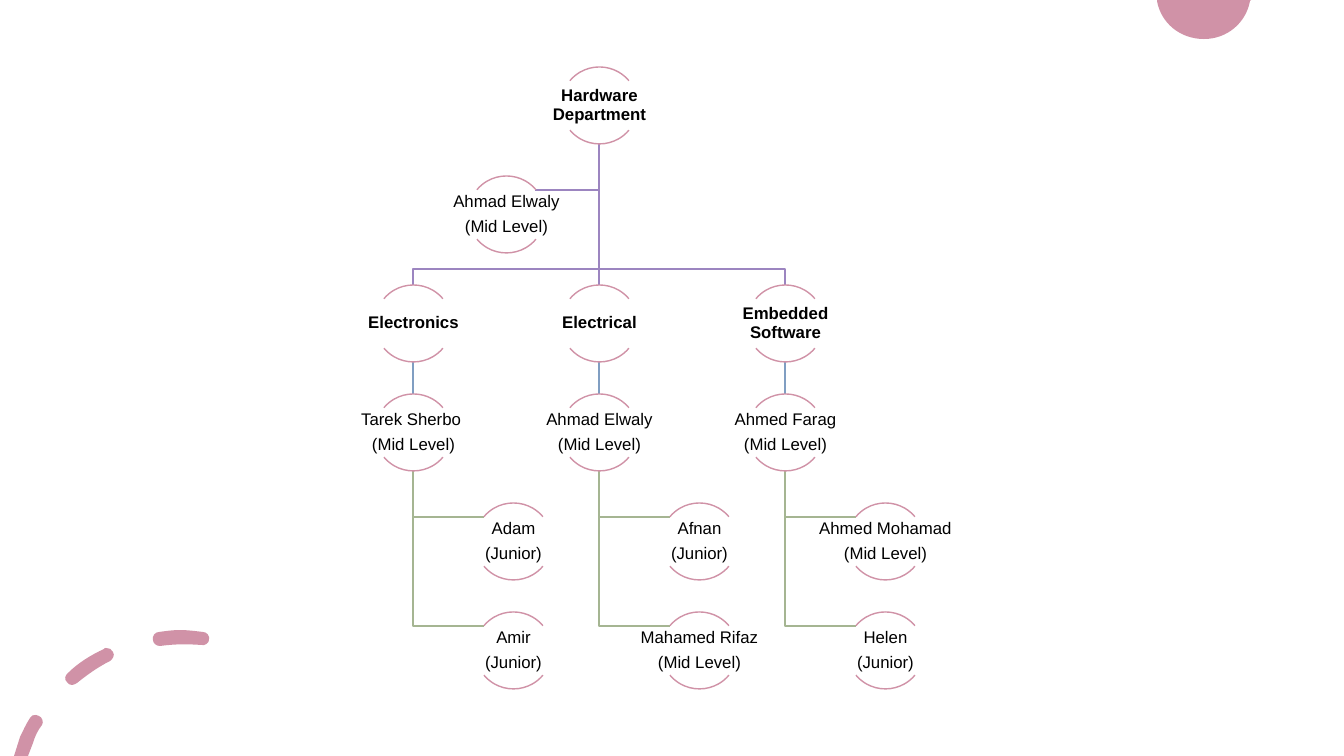
from dataclasses import dataclass

from lxml.etree import SubElement
from pptx import Presentation
from pptx.dml.color import RGBColor
from pptx.enum.shapes import MSO_SHAPE
from pptx.enum.text import MSO_ANCHOR, PP_ALIGN
from pptx.oxml.ns import qn
from pptx.util import Emu, Pt

SLIDE_WIDTH, SLIDE_HEIGHT = 1344, 756
EMU_PER_PIXEL = 12192000 / SLIDE_WIDTH
PINK, PURPLE, BLUE, GREEN, BLACK = "D092A7", "9C85C0", "809EC2", "A5B592", "000000"

CENTRE, COLUMN_STEP = 599, 186
FIRST_ROW, ROW_STEP = 67, 109
ASSISTANT_X = CENTRE - 93
MEMBER_INDENT = 100
CIRCLE, LABEL_WIDTH, LABEL_HEIGHT = 77, 153, 49
ARC_DEPTH, ARC_REACH = 14, 29  # from the circle's edge and centre to an arc's end
BRANCH_Y = 269
STRAIGHT_MARGIN = 5  # room on both sides of an upright line
TOP_ARC, BOTTOM_ARC = (132, 192), (24, 84)

Point = tuple[int, int]
Contour = list[tuple[Point, ...]]


@dataclass
class Node:
    """One person or department, placed by its centre line and row."""
    x: int
    row: int
    lines: tuple[str, ...]
    bold: bool = False

    @property
    def top(self) -> int:
        """Upper edge of the circle."""
        return FIRST_ROW + self.row * ROW_STEP

    @property
    def bottom(self) -> int:
        """Lower edge of the circle."""
        return self.top + CIRCLE


@dataclass
class Team:
    """A department with its lead and the people who report to the lead."""
    name: str
    lead: tuple[str, str]
    members: tuple[tuple[str, str], ...]


TEAMS = [
    Team("Electronics", ("Tarek Sherbo ", "(Mid Level)"),
         (("Adam", "(Junior)"), ("Amir", "(Junior)"))),
    Team("Electrical", ("Ahmad Elwaly", "(Mid Level)"),
         (("Afnan", "(Junior)"), ("Mahamed Rifaz", "(Mid Level)"))),
    Team("Embedded Software", ("Ahmed Farag", "(Mid Level)"),
         (("Ahmed Mohamad", "(Mid Level)"), ("Helen", "(Junior)"))),
]

# A piece with one point is a straight line, one with three points a cubic curve.
CORNER_DISC: list[Contour] = [[
    ((1157, 0),), ((1251, 0),), ((1250, 1),),
    ((1246, 23), (1227, 39), (1204, 39)), ((1180, 39), (1161, 23), (1157, 1)),
]]
CORNER_DASHES: list[Contour] = [
    [((36, 715),), ((34, 714), (31, 716), (30, 718)), ((26, 724), (23, 731), (20, 737)),
     ((14, 756),), ((28, 756),), ((33, 743),), ((35, 736), (38, 730), (42, 725)),
     ((44, 722), (42, 717), (39, 716)), ((38, 715), (37, 715), (36, 715))],
    [((106, 648),), ((105, 648), (104, 648), (104, 649)), ((91, 655), (78, 663), (68, 673)),
     ((65, 675), (64, 680), (67, 682)), ((68, 684), (70, 685), (72, 685)),
     ((74, 685), (75, 684), (77, 683)), ((87, 675), (98, 667), (110, 661)),
     ((113, 659), (115, 655), (113, 652)), ((112, 649), (109, 648), (106, 648))],
    [((180, 630),), ((173, 630), (166, 631), (159, 632)), ((155, 632), (152, 636), (153, 640)),
     ((153, 643), (156, 646), (160, 646)), ((174, 644), (188, 644), (201, 645)),
     ((205, 646), (209, 643), (209, 640)), ((210, 636), (207, 632), (203, 632)),
     ((195, 631), (187, 630), (180, 630))],
]


def px(length: int) -> Emu:
    """Turn pixels into EMU."""
    return Emu(round(length * EMU_PER_PIXEL))


def color(value: str) -> RGBColor:
    """Turn a hex string into a colour."""
    return RGBColor.from_string(value)


def add_outline(shapes, contours: list[Contour], closed: bool):
    """Add a freeform of straight lines and cubic curves."""
    xs, ys = zip(*(point for contour in contours for piece in contour for point in piece))
    margin = 0 if max(xs) > min(xs) else STRAIGHT_MARGIN
    left, top = px(min(xs) - margin), px(min(ys))
    builder = shapes.build_freeform(left, top)
    builder.add_line_segments([(px(max(xs) + margin), px(max(ys)))], close=False)
    outline = builder.convert_to_shape()
    outline.shadow.inherit = False
    geometry = next(outline.element.iter(qn("a:path")))
    for segment in list(geometry):
        geometry.remove(segment)
    for contour in contours:
        for index, piece in enumerate(contour):
            tag = "a:moveTo" if index == 0 else "a:lnTo" if len(piece) == 1 else "a:cubicBezTo"
            segment = SubElement(geometry, qn(tag))
            for x, y in piece:
                SubElement(segment, qn("a:pt"), x=str(px(x) - left), y=str(px(y) - top))
        if closed:
            SubElement(geometry, qn("a:close"))
    return outline


def draw_ornament(shapes, contours: list[Contour]) -> None:
    """Draw a filled corner ornament."""
    ornament = add_outline(shapes, contours, closed=True)
    ornament.fill.solid()
    ornament.fill.fore_color.rgb = color(PINK)
    ornament.line.fill.background()


def style_line(shape, hue: str) -> None:
    """Give an unfilled shape a thin line."""
    shape.fill.background()
    shape.line.color.rgb = color(hue)
    shape.line.width = Pt(1)


def draw_link(shapes, hue: str, *points: Point) -> None:
    """Draw a straight or bent reporting line."""
    style_line(add_outline(shapes, [[(point,) for point in points]], closed=False), hue)


def draw_node(shapes, node: Node) -> None:
    """Draw a label between its upper and lower arcs."""
    for angles in (TOP_ARC, BOTTOM_ARC):
        arc = shapes.add_shape(MSO_SHAPE.ARC, px(node.x - CIRCLE // 2), px(node.top),
                               px(CIRCLE), px(CIRCLE))
        arc.adjustments[0], arc.adjustments[1] = angles
        arc.shadow.inherit = False
        style_line(arc, PINK)
    label = shapes.add_textbox(px(node.x - LABEL_WIDTH // 2), px(node.top + ARC_DEPTH),
                               px(LABEL_WIDTH), px(LABEL_HEIGHT))
    frame = label.text_frame
    frame.word_wrap = True
    frame.vertical_anchor = MSO_ANCHOR.MIDDLE
    frame.margin_left = frame.margin_right = frame.margin_top = frame.margin_bottom = px(1)
    for index, line in enumerate(node.lines):
        paragraph = frame.add_paragraph() if index else frame.paragraphs[0]
        paragraph.alignment = PP_ALIGN.CENTER
        paragraph.line_spacing = 0.9
        paragraph.space_after = Pt(4.4)
        run = paragraph.add_run()
        run.text = line
        run.font.name, run.font.size, run.font.bold = "Arial", Pt(12), node.bold
        run.font.color.rgb = color(BLACK)


def draw_chart(shapes) -> None:
    """Draw the reporting lines first, then every node on top."""
    root = Node(CENTRE, 0, ("Hardware Department",), True)
    assistant = Node(ASSISTANT_X, 1, ("Ahmad Elwaly", "(Mid Level)"))
    nodes = [root]
    elbow = assistant.top + ARC_DEPTH
    draw_link(shapes, PURPLE, (root.x, root.bottom), (root.x, elbow),
              (assistant.x + ARC_REACH, elbow))
    for column, team in enumerate(TEAMS, start=-1):
        x = CENTRE + column * COLUMN_STEP
        head, lead = Node(x, 2, (team.name,), True), Node(x, 3, team.lead)
        bends = ((CENTRE, BRANCH_Y), (x, BRANCH_Y)) if column else ()
        draw_link(shapes, PURPLE, (CENTRE, root.bottom), *bends, (x, head.top))
        draw_link(shapes, BLUE, (x, head.bottom), (x, lead.top))
        nodes += [head, lead]
        for row, lines in enumerate(team.members, start=4):
            member = Node(x + MEMBER_INDENT, row, lines)
            elbow = member.top + ARC_DEPTH
            draw_link(shapes, GREEN, (x, lead.bottom), (x, elbow),
                      (member.x - ARC_REACH, elbow))
            nodes.append(member)
    for node in [*nodes, assistant]:
        draw_node(shapes, node)


presentation = Presentation()
presentation.slide_width, presentation.slide_height = px(SLIDE_WIDTH), px(SLIDE_HEIGHT)
slide = presentation.slides.add_slide(presentation.slide_layouts[6])
for ornament_contours in (CORNER_DISC, CORNER_DASHES):
    draw_ornament(slide.shapes, ornament_contours)
draw_chart(slide.shapes)
presentation.save("out.pptx")
